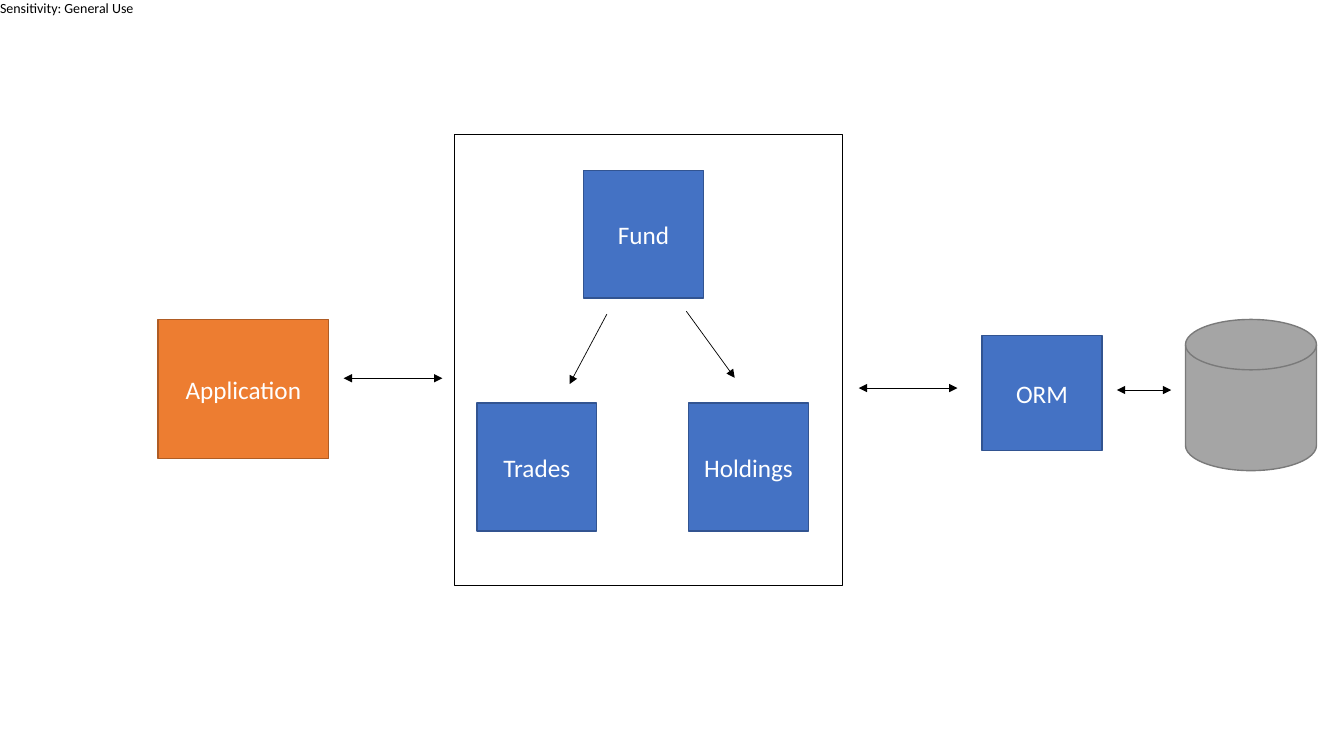
from lxml.etree import SubElement
from pptx import Presentation
from pptx.dml.color import RGBColor
from pptx.enum.shapes import MSO_CONNECTOR as Connector, MSO_SHAPE as Shape
from pptx.enum.text import MSO_ANCHOR as Anchor, PP_ALIGN as Align
from pptx.oxml.ns import qn
from pptx.util import Pt

COLORS = {
    "black": "000000",
    "white": "FFFFFF",
    "blue": "4472C4",
    "blue_line": "325491",
    "orange": "ED7D31",
    "orange_line": "AF5C24",
    "gray": "A5A5A5",
    "gray_line": "7A7A7A",
}
BLOCK_WIDTH = 85.7


def color(name):
    return RGBColor.from_string(COLORS[name])


def write(paragraph, text, size, color_name):
    run = paragraph.add_run()
    run.text = text
    for name, value in {"name": "Calibri", "size": Pt(size)}.items():
        setattr(run.font, name, value)
    run.font.color.rgb = color(color_name)


def add_block(slide, box, text="", fill="blue", kind=Shape.RECTANGLE):
    shape = slide.shapes.add_shape(kind, *map(Pt, box))
    shape.shadow.inherit = False
    shape.fill.solid()
    shape.fill.fore_color.rgb = color(fill)
    shape.line.color.rgb = color(fill + "_line")
    shape.line.width = Pt(1)
    if text:
        shape.text_frame.vertical_anchor = Anchor.MIDDLE
        paragraph = shape.text_frame.paragraphs[0]
        paragraph.alignment = Align.CENTER
        write(paragraph, text, 18, "white")


def add_arrow(slide, start, end, ends=("headEnd", "tailEnd")):
    arrow = slide.shapes.add_connector(Connector.STRAIGHT, *map(Pt, start + end))
    arrow.line.color.rgb = color("black")
    arrow.line.width = Pt(0.5)
    properties = arrow.element.spPr
    for name in ends:
        SubElement(properties.find(qn("a:ln")), qn("a:" + name), type="triangle")
    SubElement(properties, qn("a:effectLst"))


def add_label(slide, left, top, width, height):
    label = slide.shapes.add_textbox(Pt(left), Pt(top), Pt(width), Pt(height))
    frame = label.text_frame
    for side in ("left", "top", "right", "bottom"):
        setattr(frame, "margin_" + side, 0)
    write(frame.paragraphs[0], "Sensitivity: General Use", 10, "black")


def add_domain_model(slide, left, top, width, height):
    border = slide.shapes.add_shape(Shape.RECTANGLE, Pt(left), Pt(top), Pt(width), Pt(height))
    border.shadow.inherit = False
    border.fill.background()
    border.line.color.rgb = color("black")
    border.line.width = Pt(0.75)
    for text, x, y in (("Fund", 92, 25.2), ("Trades", 15.8, 191.5), ("Holdings", 167, 191.5)):
        add_block(slide, (left + x, top + y, BLOCK_WIDTH, 91.4), text)
    for x1, y1, x2, y2 in ((108.7, 128, 82, 178), (165.5, 126, 200, 173.5)):
        add_arrow(slide, (left + x1, top + y1), (left + x2, top + y2), ("tailEnd",))


def add_application(slide, left, top, width, height):
    add_block(slide, (left, top, 121.7, height), "Application", "orange")
    arrow_y = top + 42
    add_arrow(slide, (left + 132.5, arrow_y), (left + width, arrow_y))


def add_storage(slide, left, top, width, height):
    disk_width = 93.6
    add_block(slide, (left + width - disk_width, top, disk_width, height),
              fill="gray", kind=Shape.FLOWCHART_MAGNETIC_DISK)
    add_block(slide, (left + 88, top + 11.6, BLOCK_WIDTH, 82), "ORM")
    for start, end, y in ((0, 70.5, 49), (184.4, 223.2, 50.4)):
        add_arrow(slide, (left + start, top + y), (left + end, top + y))


def main():
    presentation = Presentation()
    presentation.slide_width, presentation.slide_height = Pt(960), Pt(540)
    slide = presentation.slides.add_slide(presentation.slide_layouts[6])
    add_label(slide, 0, 0, 98, 12.2)
    add_domain_model(slide, 324.8, 96.4, 277.2, 321.8)
    add_application(slide, 113, 228.2, 203, 99.4)
    add_storage(slide, 613.4, 228.2, 327, 108)
    presentation.save("out.pptx")


if __name__ == "__main__":
    main()
